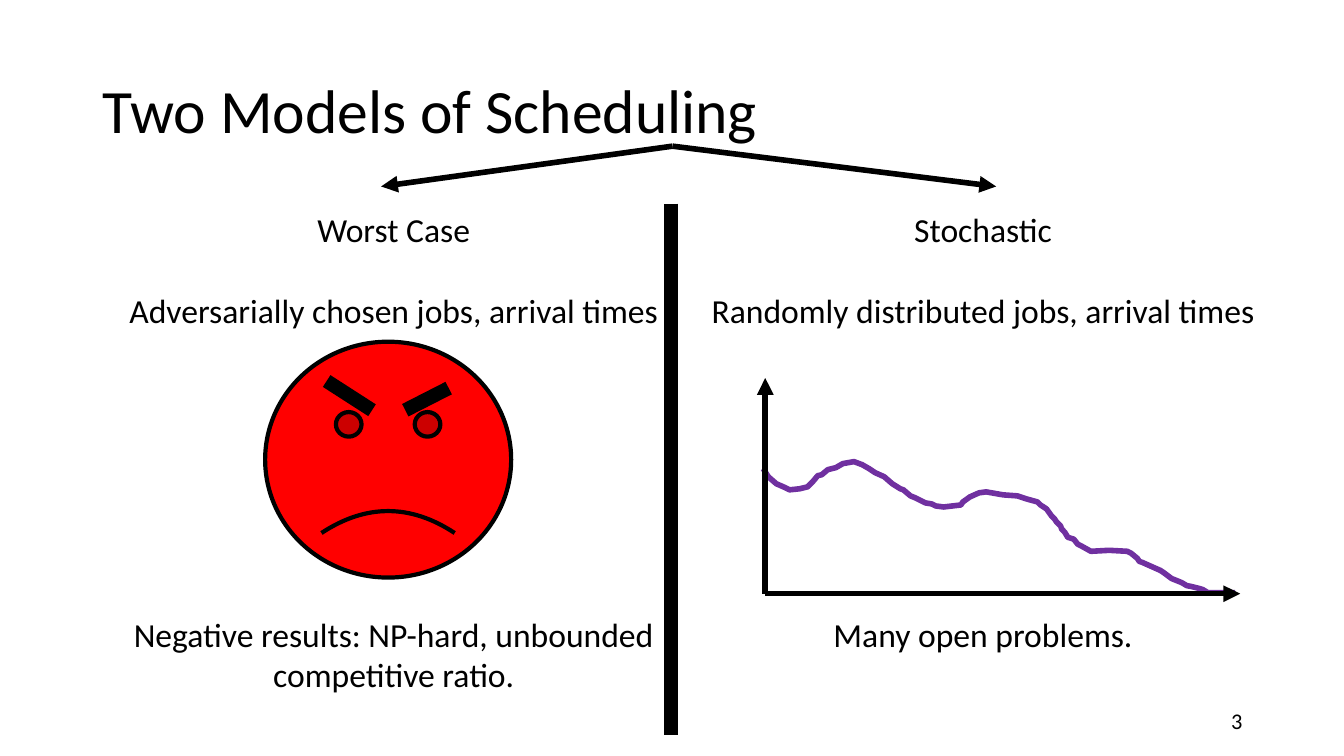
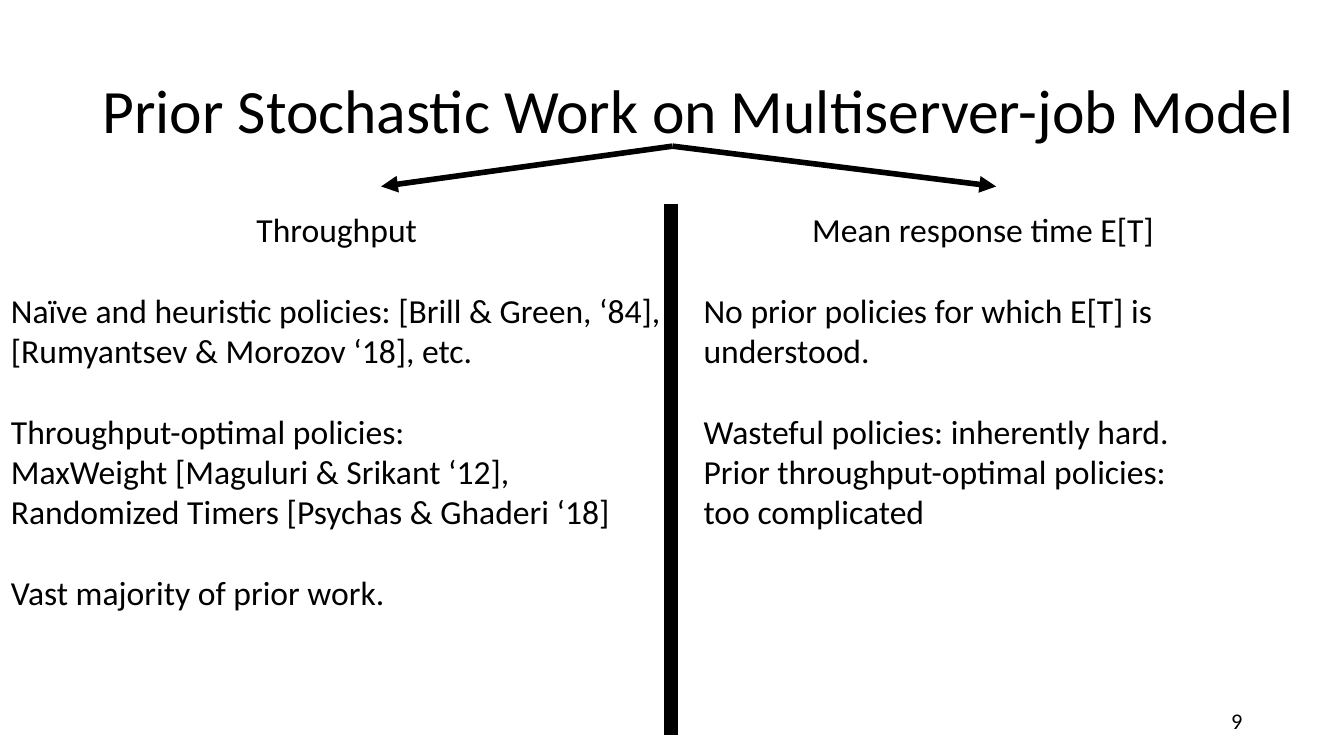
from pptx import Presentation
from pptx.dml.color import RGBColor
from pptx.enum.shapes import MSO_CONNECTOR, MSO_SHAPE
from pptx.enum.text import MSO_ANCHOR, PP_ALIGN
from pptx.oxml.ns import qn
from pptx.util import Inches, Pt
from lxml import etree

# Shared style
HUES = {"ink": "000000", "face": "FF0000", "curve": "7030A0"}
FONT = "Calibri"
LINE = 29  # height of one 24 pt line, in points
MID, LEFT, RIGHT = PP_ALIGN.CENTER, PP_ALIGN.LEFT, PP_ALIGN.RIGHT

# Content: each paragraph is (text, alignment, lines of space before)
PAGES = [
    {
        "title": "Two Models of Scheduling", "width": 11.5, "number": "3", "art": True,
        "columns": [
            ((1.14, 2.02, 5.53, 4.95), [
                ("Worst Case", MID, 0),
                ("Adversarially chosen jobs, arrival times", MID, 1),
                ("Negative results: NP-hard, unbounded competitive ratio.", MID, 7),
            ]),
            ((6.88, 2.02, 5.74, 4.54), [
                ("Stochastic", MID, 0),
                ("Randomly distributed jobs, arrival times", MID, 1),
                ("Many open problems.", MID, 7),
            ]),
        ],
    },
    {
        "title": "Prior Stochastic Work on Multiserver-job Model", "width": 12.13,
        "number": "9", "art": False,
        "columns": [
            ((0.01, 2.02, 6.66, 4.14), [
                ("Throughput", MID, 0),
                ("Naïve and heuristic policies: [Brill & Green, ‘84], "
                 "[Rumyantsev & Morozov ‘18], etc.", LEFT, 1),
                ("Throughput-optimal policies:\nMaxWeight [Maguluri & Srikant ‘12],\n"
                 "Randomized Timers [Psychas & Ghaderi ‘18]", LEFT, 1),
                ("Vast majority of prior work.", LEFT, 1),
            ]),
            ((6.88, 2.02, 5.74, 3.33), [
                ("Mean response time E[T]", MID, 0),
                ("No prior policies for which E[T] is understood.", LEFT, 1),
                ("Wasteful policies: inherently hard.\n"
                 "Prior throughput-optimal policies:\ntoo complicated", LEFT, 1),
            ]),
        ],
    },
]

FORK = [((6.67, 1.45), (3.78, 1.85)), ((6.67, 1.45), (9.88, 1.85))]
AXES = [((7.59, 5.89), (12.3, 5.89)), ((7.59, 5.89), (7.59, 3.75))]
BROWS = [((3.24, 3.78), (3.69, 4.07)), ((4.45, 3.85), (4.02, 4.07))]
CURVE = [
    (7.57, 4.65), (7.62, 4.73), (7.7, 4.8), (7.77, 4.83), (7.83, 4.86), (7.93, 4.85),
    (8.01, 4.83), (8.06, 4.78), (8.11, 4.72), (8.15, 4.71), (8.21, 4.66), (8.29, 4.64),
    (8.36, 4.6), (8.47, 4.58), (8.55, 4.61), (8.62, 4.65), (8.68, 4.69), (8.77, 4.73),
    (8.85, 4.8), (8.93, 4.85), (8.96, 4.86), (9.03, 4.92), (9.08, 4.94), (9.18, 4.99),
    (9.24, 5), (9.28, 5.02), (9.36, 5.03), (9.53, 5.01), (9.55, 4.98), (9.62, 4.93),
    (9.71, 4.89), (9.78, 4.88), (9.95, 4.91), (10.09, 4.92), (10.18, 4.95),
    (10.29, 4.98), (10.32, 5.01), (10.38, 5.05), (10.43, 5.12), (10.46, 5.15),
    (10.48, 5.18), (10.52, 5.22), (10.53, 5.25), (10.56, 5.28), (10.59, 5.33),
    (10.65, 5.35), (10.69, 5.4), (10.73, 5.42), (10.82, 5.47), (11, 5.46),
    (11.18, 5.47), (11.22, 5.49), (11.28, 5.54), (11.3, 5.57), (11.33, 5.58),
    (11.51, 5.66), (11.54, 5.68), (11.62, 5.74), (11.72, 5.78), (11.77, 5.81),
    (11.82, 5.82), (11.9, 5.84), (11.93, 5.85), (11.98, 5.88), (12.25, 5.88),
]


def hue(name):
    return RGBColor.from_string(HUES[name])


def pen(shape, name, width):
    shape.line.color.rgb = hue(name)
    shape.line.width = Pt(width)


def add_text(slide, place, paras, size, anchor=MSO_ANCHOR.TOP, lead=None):
    frame = slide.shapes.add_textbox(*map(Inches, place)).text_frame
    frame.word_wrap = True
    frame.vertical_anchor = anchor
    for i, (text, align, gap) in enumerate(paras):
        para = frame.add_paragraph() if i else frame.paragraphs[0]
        para.alignment = align
        para.space_before = Pt(gap * LINE)
        if lead:
            para.line_spacing = lead
        for j, part in enumerate(text.split("\n")):
            if j:
                para.add_line_break()
            run = para.add_run()
            run.text = part
            run.font.name = FONT
            run.font.size = Pt(size)
            run.font.color.rgb = hue("ink")


def add_lines(shapes, pairs, width, arrow=False):
    for start, end in pairs:
        line = shapes.add_connector(MSO_CONNECTOR.STRAIGHT, *map(Inches, start + end))
        pen(line, "ink", width)
        if arrow:
            stroke = line.line._get_or_add_ln()
            etree.SubElement(stroke, qn("a:tailEnd"), type="triangle")
        etree.SubElement(line._element.spPr, qn("a:effectLst"))


def draw_face(slide):
    shapes = slide.shapes.add_group_shape().shapes
    face = shapes.add_shape(MSO_SHAPE.SMILEY_FACE, *map(Inches, (2.63, 3.39, 2.44, 2.34)))
    face.adjustments[0] = -0.047
    face.shadow.inherit = False
    face.fill.solid()
    face.fill.fore_color.rgb = hue("face")
    pen(face, "ink", 3)
    add_lines(shapes, BROWS, 10)


def draw_plot(slide):
    shapes = slide.shapes.add_group_shape().shapes
    spots = [(Inches(x), Inches(y)) for x, y in CURVE]
    form = shapes.build_freeform(*spots[0])
    form.add_line_segments(spots[1:], close=False)
    curve = form.convert_to_shape()
    curve.shadow.inherit = False
    curve.fill.background()
    pen(curve, "curve", 4)
    add_lines(shapes, AXES, 4, arrow=True)


def add_page(deck, page):
    slide = deck.slides.add_slide(deck.slide_layouts[6])
    # Title, fork and divider
    add_text(slide, (0.92, 0.4, page["width"], 1.45), [(page["title"], LEFT, 0)],
             44, MSO_ANCHOR.MIDDLE, 0.9)
    add_lines(slide.shapes.add_group_shape().shapes, FORK, 4, arrow=True)
    add_lines(slide.shapes, [((6.66, 2.02), (6.66, 7.29))], 10)
    # Two columns
    for place, paras in page["columns"]:
        add_text(slide, place, paras, 24)
    if page["art"]:
        draw_face(slide)
        draw_plot(slide)
    # Page number
    add_text(slide, (9.42, 6.95, 3, 0.4), [(page["number"], RIGHT, 0)],
             16, MSO_ANCHOR.MIDDLE)


def main():
    deck = Presentation()
    deck.slide_width, deck.slide_height = Inches(13.33), Inches(7.5)
    for page in PAGES:
        add_page(deck, page)
    deck.save("out.pptx")


if __name__ == "__main__":
    main()
